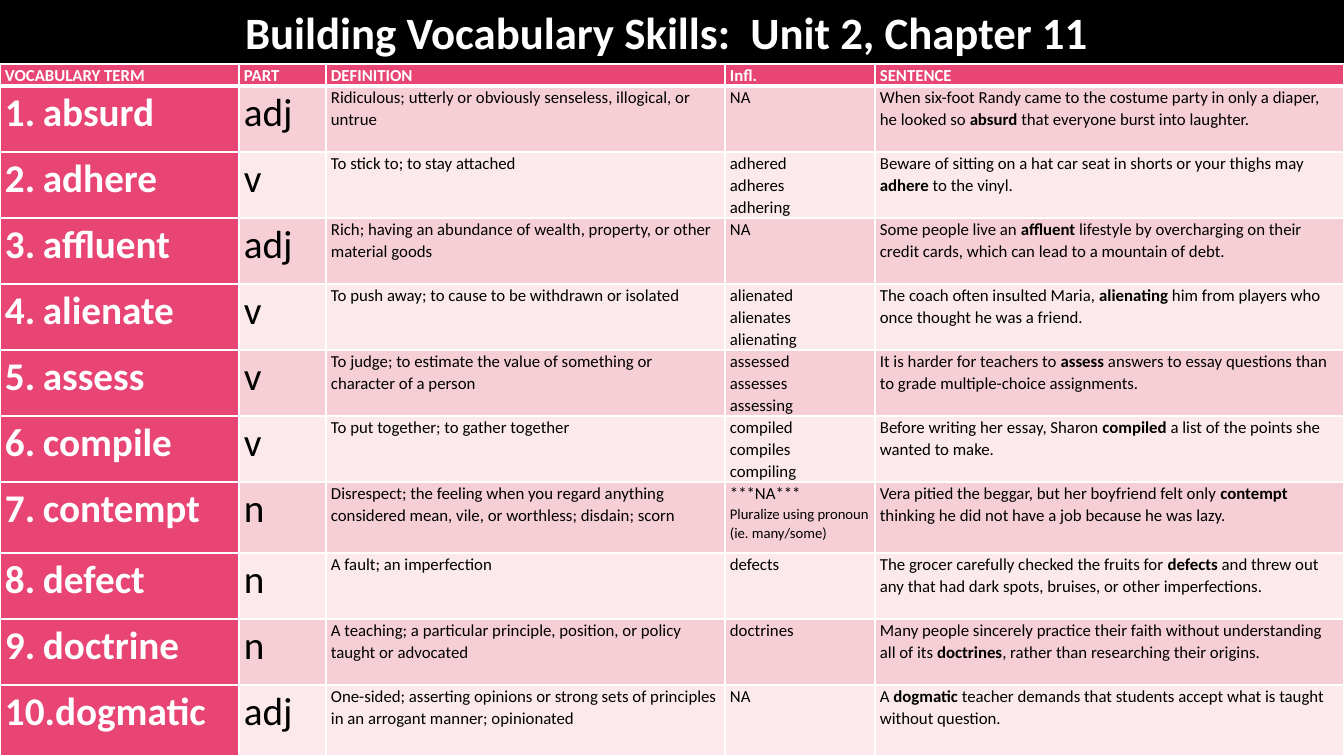
"""Build the vocabulary table slide for Unit 2, Chapter 11."""
from lxml import etree
from pptx import Presentation
from pptx.dml.color import RGBColor
from pptx.enum.text import MSO_ANCHOR, MSO_AUTO_SIZE, PP_ALIGN
from pptx.oxml.ns import qn
from pptx.util import Pt

PX = 9071
TOP, LEFT, NO_FIT = MSO_ANCHOR.TOP, PP_ALIGN.LEFT, MSO_AUTO_SIZE.NONE
THEME = {
    "font": "Calibri",
    "black": RGBColor.from_string("000000"),
    "white": RGBColor.from_string("FFFFFF"),
    "accent": RGBColor.from_string("E84574"),
    "bands": [RGBColor.from_string("F6CFD6"), RGBColor.from_string("FBE9EB")],
    "title": 32, "term": 28, "body": 12, "note": 10.5,
}
COLUMN_WIDTHS = [239, 87, 399, 150, 469]
HEADER_HEIGHT, ROW_HEIGHT, TALL_HEIGHT = 22, 66, 71
TALL_ROWS = (7, 10)
TITLE_HEIGHT, TABLE_HEIGHT = 64, 692
INDENT, CELL_MARGIN = 38, 5

HEADINGS = ("VOCABULARY TERM", "PART", "DEFINITION", "Infl.", "SENTENCE")
ENTRIES = [
    ("absurd", "adj", "Ridiculous; utterly or obviously senseless, illogical, or untrue", "NA",
     "When six-foot Randy came to the costume party in only a diaper, he looked so |absurd| "
     "that everyone burst into laughter."),
    ("adhere", "v", "To stick to; to stay attached", "adhered\nadheres\nadhering",
     "Beware of sitting on a hat car seat in shorts or your thighs may |adhere| to the vinyl."),
    ("affluent", "adj", "Rich; having an abundance of wealth, property, or other material goods", "NA",
     "Some people live an |affluent| lifestyle by overcharging on their credit cards, "
     "which can lead to a mountain of debt."),
    ("alienate", "v", "To push away; to cause to be withdrawn or isolated",
     "alienated\nalienates\nalienating",
     "The coach often insulted Maria, |alienating| him from players who once thought he was a friend."),
    ("assess", "v", "To judge; to estimate the value of something or character of a person",
     "assessed\nassesses\nassessing",
     "It is harder for teachers to |assess| answers to essay questions than to grade "
     "multiple-choice assignments."),
    ("compile", "v", "To put together; to gather together", "compiled\ncompiles\ncompiling",
     "Before writing her essay, Sharon |compiled| a list of the points she wanted to make."),
    ("contempt", "n",
     "Disrespect; the feeling when you regard anything considered mean, vile, or worthless; disdain; scorn",
     "***NA***\nPluralize using pronoun (ie. many/some)",
     "Vera pitied the beggar, but her boyfriend felt only |contempt| thinking he did not have "
     "a job because he was lazy."),
    ("defect", "n", "A fault; an imperfection", "defects",
     "The grocer carefully checked the fruits for |defects| and threw out any that had dark spots, "
     "bruises, or other imperfections."),
    ("doctrine", "n", "A teaching; a particular principle, position, or policy taught or advocated",
     "doctrines",
     "Many people sincerely practice their faith without understanding all of its |doctrines|, "
     "rather than researching their origins."),
    ("dogmatic", "adj",
     "One-sided; asserting opinions or strong sets of principles in an arrogant manner; opinionated",
     "NA",
     "A |dogmatic| teacher demands that students accept what is taught without question."),
]


def style(span, size, color, bold):
    span.font.name = THEME["font"]
    span.font.size = Pt(size)
    span.font.color.rgb = color
    span.font.bold = bold


def add_borders(cell, row):
    properties = cell._tc.get_or_add_tcPr()
    for side in ("lnL", "lnR", "lnT", "lnB"):
        heavy = (row, side) in ((0, "lnB"), (1, "lnT"))
        line = etree.SubElement(properties, qn("a:" + side), w=str(Pt(3 if heavy else 1)))
        fill = etree.SubElement(line, qn("a:solidFill"))
        etree.SubElement(fill, qn("a:srgbClr"), val=str(THEME["white"]))


deck = Presentation()
deck.slide_width, deck.slide_height = 1344 * PX, 756 * PX
page = deck.slides.add_slide(deck.slide_layouts[5])
page.background.fill.solid()
page.background.fill.fore_color.rgb = THEME["black"]

title = page.shapes.title
title.left, title.top, title.width, title.height = 235 * PX, 0, 871 * PX, TITLE_HEIGHT * PX
title.text_frame.text = "Building Vocabulary Skills:  Unit 2, Chapter 11"
title.text_frame.auto_size = NO_FIT
title.text_frame.vertical_anchor = TOP
title.text_frame.paragraphs[0].alignment = LEFT
style(title.text_frame.paragraphs[0].runs[0], THEME["title"], THEME["white"], True)

table = page.shapes.add_table(
    len(ENTRIES) + 1, len(HEADINGS), 0, TITLE_HEIGHT * PX, sum(COLUMN_WIDTHS) * PX, TABLE_HEIGHT * PX
).table
table.first_col = True
for column, width in zip(table.columns, COLUMN_WIDTHS):
    column.width = width * PX

for row, entry in enumerate([HEADINGS, *ENTRIES]):
    height = TALL_HEIGHT if row in TALL_ROWS else ROW_HEIGHT
    table.rows[row].height = (height if row else HEADER_HEIGHT) * PX
    for column, text in enumerate(entry):
        cell = table.cell(row, column)
        cell.margin_left = cell.margin_right = CELL_MARGIN * PX
        cell.margin_top = cell.margin_bottom = 0
        add_borders(cell, row)
        strong = row == 0 or column == 0
        cell.fill.solid()
        cell.fill.fore_color.rgb = THEME["accent"] if strong else THEME["bands"][(row - 1) % 2]
        color = THEME["white"] if strong else THEME["black"]
        cell.text_frame.text = text.replace("|", "")
        for index, line in enumerate(text.split("\n")):
            para = cell.text_frame.paragraphs[index]
            para.line_spacing = 1.07
            size = THEME["term"] if row and column < 2 else THEME["body"]
            if line.startswith("Pluralize"):
                size = THEME["note"]
            if row and column == 0:
                indent = para._p.get_or_add_pPr()
                indent.set("marL", str(INDENT * PX))
                indent.set("indent", str(-INDENT * PX))
                etree.SubElement(indent, qn("a:buFont"), typeface="+mj-lt")
                etree.SubElement(indent, qn("a:buAutoNum"), type="arabicPeriod", startAt=str(row))
            pieces = line.split("|")
            para.runs[0].text = pieces[0]
            for piece in pieces[1:]:
                para.add_run().text = piece
            for part, span in enumerate(para.runs):
                style(span, size, color, strong or part == 1)

deck.save("out.pptx")
